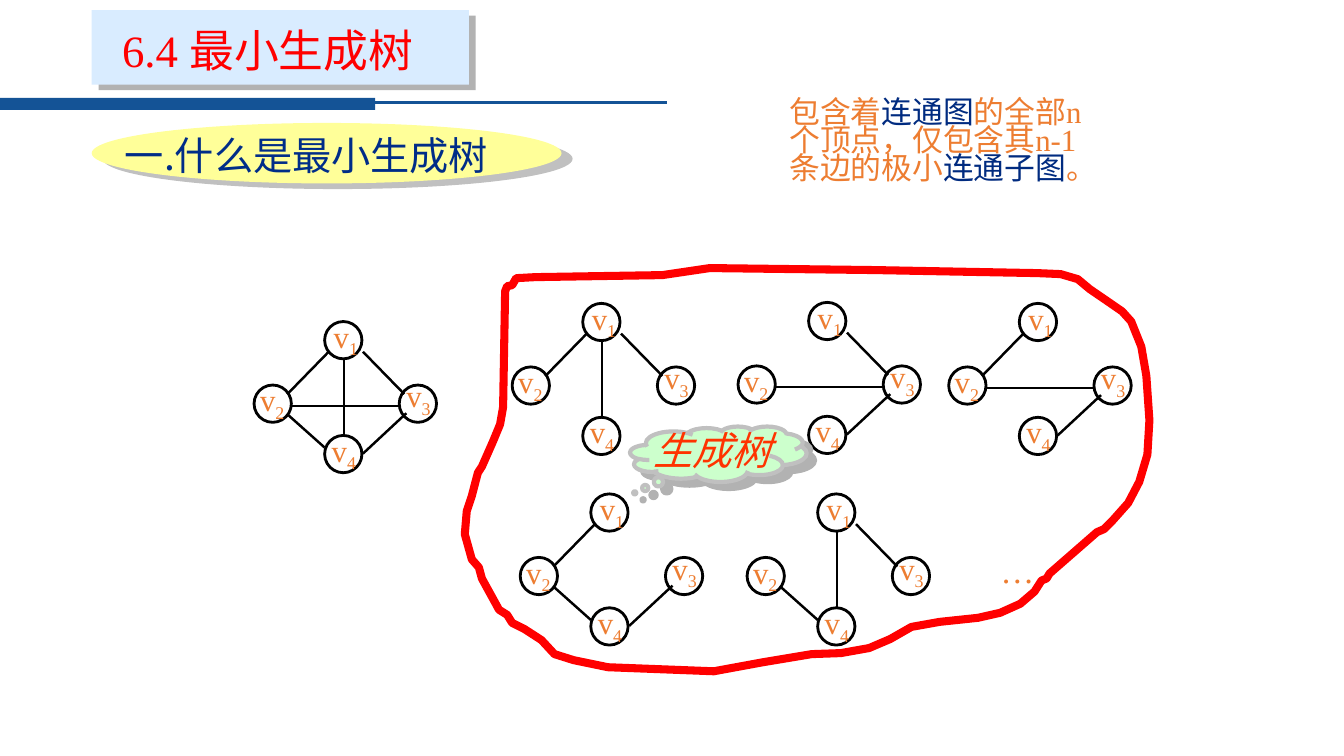
from lxml import etree
from pptx import Presentation
from pptx import util as u
from pptx.dml.color import RGBColor
from pptx.enum import shapes, text
from pptx.oxml.ns import qn

LATIN, CJK = "Times New Roman", "Noto Sans CJK SC"
ORANGE, NAVY, RED, BLUE = "ED7D31", "002B80", "FF0000", "145396"


def paint(fill, color):
    fill.solid()
    fill.fore_color.rgb = RGBColor.from_string(color)


def write(box, paragraphs, frame, para, font):
    tf = box.text_frame
    for name, value in frame.items():
        setattr(tf, name, value)
    for i, runs in enumerate(paragraphs):
        p = tf.add_paragraph() if i else tf.paragraphs[0]
        for name, value in para.items():
            setattr(p, name, value)
        for words, color, face in runs:
            r = p.add_run()
            r.text = words
            paint(r.font.fill, color)
            for name, value in {"name": face, **font}.items():
                setattr(r.font, name, value)
            etree.SubElement(r.font._element, qn("a:ea"), typeface=CJK)
    return tf


prs = Presentation()
prs.slide_width, prs.slide_height = u.Inches(13.33), u.Inches(7.5)
s = prs.slides.add_slide(prs.slide_layouts[5])
kinds = shapes.MSO_SHAPE
grow = {"auto_size": text.MSO_AUTO_SIZE.SHAPE_TO_FIT_TEXT}
left = {"alignment": text.PP_ALIGN.LEFT}
center = {"alignment": text.PP_ALIGN.CENTER}

bar = s.shapes.add_shape(kinds.RECTANGLE, 0, u.Inches(0.97), u.Inches(3.72), u.Inches(0.12))
bar.shadow.inherit = False
paint(bar.fill, BLUE)
bar.line.fill.background()

nodes = {1: (0, 0), 2: (-0.7, 0.63), 3: (0.74, 0.63), 4: (0, 1.13)}
labels = {1: (-0.02, -0.09), 2: (-0.75, 0.54), 3: (0.7, 0.5), 4: (-0.04, 1.04)}
edges = {
    "12": (0.04, 0.3, -0.37, 0.72),
    "13": (0.38, 0.3, 0.79, 0.72),
    "14": (0.19, 0.38, 0.19, 1.13),
    "23": (-0.33, 0.84, 0.75, 0.84),
    "24": (-0.37, 0.92, 0, 1.25),
    "34": (0.38, 1.31, 0.81, 0.91),
}
graphs = [
    (3.22, 3.19, list(edges)),
    (5.78, 3.01, ["12", "13", "14"]),
    (8.02, 3.0, ["13", "23", "34"]),
    (10.11, 3.01, ["12", "23", "34"]),
    (5.86, 4.9, ["12", "24", "34"]),
    (8.11, 4.9, ["13", "14", "24"]),
]

lines = [(3.68, 1.02, 6.62, 1.02, BLUE, 2.25)]
for x, y, links in graphs:
    for link in links:
        x1, y1, x2, y2 = edges[link]
        lines.append((x + x1, y + y1, x + x2, y + y2, "000000", 1.75))
for x1, y1, x2, y2, color, width in lines:
    ends = [u.Inches(v) for v in (x1, y1, x2, y2)]
    line = s.shapes.add_connector(shapes.MSO_CONNECTOR.STRAIGHT, *ends)
    paint(line.line.fill, color)
    line.line.width = u.Pt(width)
    etree.SubElement(line.element.spPr, qn("a:effectLst"))

for x, y, links in graphs:
    for dx, dy in nodes.values():
        node = s.shapes.add_shape(kinds.OVAL, u.Inches(x + dx), u.Inches(y + dy),
                                  u.Inches(0.37), u.Inches(0.37))
        node.shadow.inherit = False
        node.fill.background()
        paint(node.line.fill, "000000")
        node.line.width = u.Pt(2)
    for n, (dx, dy) in labels.items():
        label = s.shapes.add_textbox(u.Inches(x + dx), u.Inches(y + dy),
                                     u.Inches(0.46), u.Inches(0.47))
        tf = write(label, [[("v", ORANGE, LATIN), (str(n), ORANGE, LATIN)]],
                   {**grow, "word_wrap": False}, center, {"size": u.Pt(22)})
        tf.paragraphs[0].runs[1].font._element.set("baseline", "-25000")

cards = [
    (kinds.OVAL, (0.91, 1.22, 4.66, 0.6), "FFFF99", "C0C0C0", 8.9, 27),
    (kinds.CLOUD_CALLOUT, (6.25, 4.23, 1.75, 0.55), "CCFFCC", "B2B2B2", 7.8, 40),
    (kinds.RECTANGLE, (0.91, 0.1, 3.74, 0.74), "D9ECFF", "B2B2B2", 6.4, 39),
]
for kind, at, color, shade, dist, angle in cards:
    sp = s.shapes.add_shape(kind, *[u.Inches(v) for v in at])
    paint(sp.fill, color)
    sp.line.fill.background()
    sp.shadow.inherit = False
    shadow = etree.SubElement(sp.element.spPr.find(qn("a:effectLst")), qn("a:outerShdw"),
                              dist=str(u.Pt(dist)), dir=str(angle * 60000),
                              algn="ctr", rotWithShape="0")
    etree.SubElement(shadow, qn("a:srgbClr"), val=shade)
    if kind == kinds.CLOUD_CALLOUT:
        sp.adjustments[0], sp.adjustments[1] = -0.474, 0.699
        paint(sp.line.fill, "C0C0C0")
        sp.line.width = u.Pt(3)

title = s.shapes.title
sp.element.addnext(title.element)
place = {"left": 0.89, "top": 0.18, "width": 4.17, "height": 0.64}
for name, value in place.items():
    setattr(title, name, u.Inches(value))
frame = {"auto_size": text.MSO_AUTO_SIZE.NONE, "word_wrap": True,
         "vertical_anchor": text.MSO_ANCHOR.TOP, "margin_left": u.Inches(0.32)}
tf = write(title, [[("6.4 ", RED, LATIN), ("最小生成树", RED, CJK)]],
           frame, left, {"size": u.Pt(32)})
for r in tf.paragraphs[0].runs:
    effects = etree.Element(qn("a:effectLst"))
    shadow = etree.SubElement(effects, qn("a:outerShdw"), dist="25400", dir="2700000")
    etree.SubElement(shadow, qn("a:srgbClr"), val="000000")
    r.font._element.find(qn("a:latin")).addprevious(effects)

definition = [
    [("包含着", ORANGE, LATIN), ("连通图", NAVY, LATIN), ("的全部n", ORANGE, LATIN)],
    [("个顶点，仅包含其n-1", ORANGE, LATIN)],
    [("条边的极小", ORANGE, LATIN), ("连通子图", NAVY, LATIN), ("。", ORANGE, LATIN)],
]
boxes = [
    ((1.14, 1.25, 4.42, 0.57), [[("一.什么是最小生成树", "002D88", CJK)]],
     True, left, {"size": u.Pt(28)}),
    ((9.82, 5.41, 0.54, 0.51), [[("…", ORANGE, LATIN)]],
     False, center, {"size": u.Pt(24)}),
    ((7.73, 0.96, 3.29, 0.93), definition,
     False, {**left, "line_spacing": 0.75}, {"size": u.Pt(22)}),
    ((6.38, 4.18, 2.22, 0.57), [[("生成树", "FF3300", LATIN)]],
     True, left, {"size": u.Pt(28), "italic": True}),
]
for at, paragraphs, wrap, para, font in boxes:
    box = s.shapes.add_textbox(*[u.Inches(v) for v in at])
    write(box, paragraphs, {**grow, "word_wrap": wrap}, para, font)

outline = [
    (5.08, 2.83), (5.12, 2.76), (5.31, 2.75), (6.57, 2.73), (7.04, 2.66), (8.67, 2.68),
    (10.29, 2.71), (10.52, 2.72), (10.69, 2.77), (10.81, 2.87), (11, 3), (11.13, 3.09),
    (11.22, 3.19), (11.32, 3.44), (11.37, 3.73), (11.4, 4.17), (11.38, 4.51), (11.3, 4.78),
    (11.19, 4.99), (11.03, 5.17), (10.95, 5.25), (10.88, 5.28), (10.41, 5.69),
    (10.38, 5.74), (10.33, 5.76), (10.26, 5.87), (10.12, 5.99), (9.92, 6.08), (9.7, 6.13),
    (9.32, 6.17), (9.04, 6.22), (8.83, 6.34), (8.62, 6.43), (8.34, 6.48), (8.05, 6.49),
    (7.57, 6.57), (7.08, 6.66), (6.03, 6.62), (5.69, 6.55), (5.5, 6.49), (5.37, 6.35),
    (5.2, 6.24), (5.08, 6.18), (5.03, 6.1), (4.95, 6.05), (4.78, 5.74), (4.75, 5.63),
    (4.68, 5.55), (4.61, 5.3), (4.63, 5.07), (4.68, 4.92), (4.74, 4.69), (4.78, 4.63),
    (4.89, 4.38), (4.96, 4.21), (4.99, 4.04), (5.01, 2.89), (5.03, 2.84),
]
points = [(u.Inches(x), u.Inches(y)) for x, y in outline]
builder = s.shapes.build_freeform(*points[0])
builder.add_line_segments(points[1:], close=True)
loop = builder.convert_to_shape()
loop.shadow.inherit = False
loop.fill.background()
paint(loop.line.fill, RED)
loop.line.width = u.Pt(5.75)

prs.save("out.pptx")
